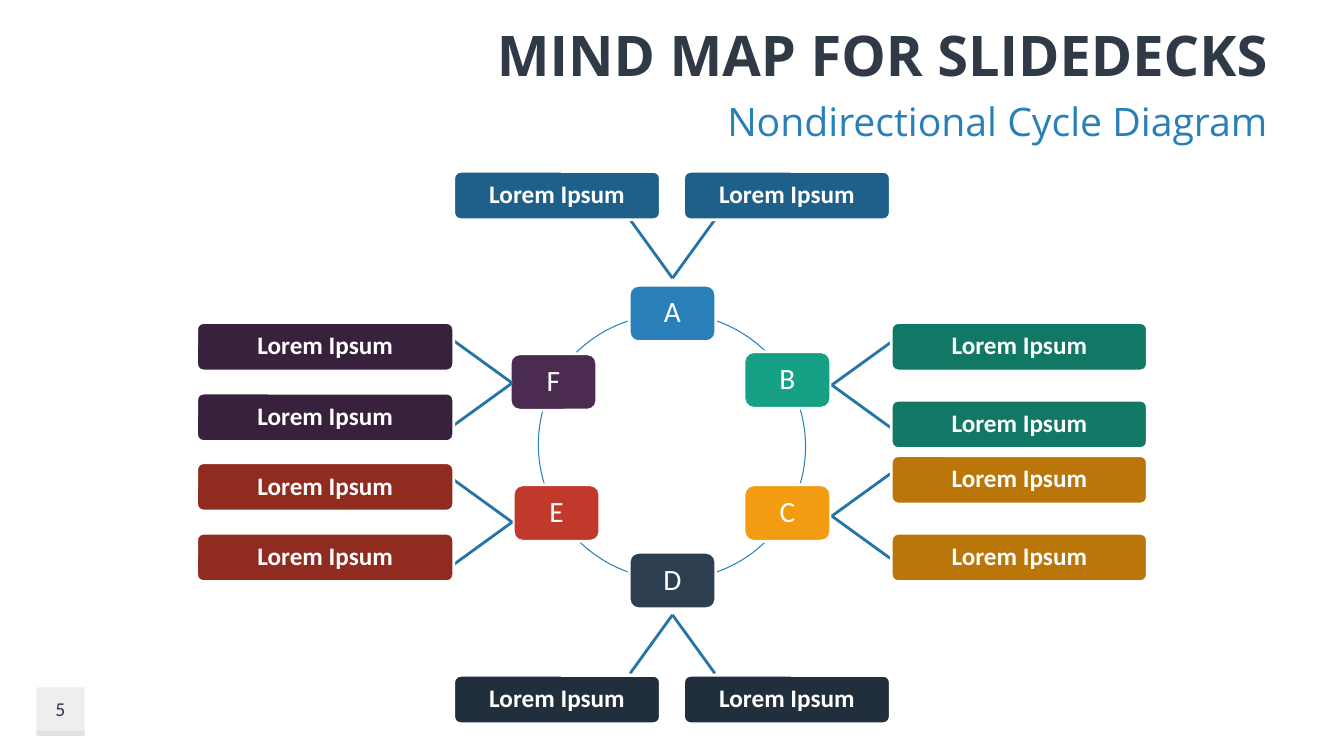
from lxml import etree
from pptx import Presentation
from pptx.dml.color import RGBColor
from pptx.enum.shapes import MSO_CONNECTOR, MSO_SHAPE
from pptx.enum.text import MSO_ANCHOR as Anchor, PP_ALIGN as Align
from pptx.oxml.ns import qn
from pptx.util import Inches, Pt

COLORS = {
    "white": "FFFFFF", "ink": "2F3A46", "gray": "BFBFBF",
    "cycle": "2980B9", "branch": "2574A8",
    "A": "2980B9", "A label": "1F608B",
    "B": "16A085", "B label": "107864",
    "C": "F39C12", "C label": "BA7609",
    "D": "2C3E50", "D label": "212E3C",
    "E": "C0392B", "E label": "902B20",
    "F": "4B2C50", "F label": "38213C",
}
COLORS = {name: RGBColor.from_string(value) for name, value in COLORS.items()}


def write(shape, text, size, color="white", font="Calibri", bold=False,
          align=Align.CENTER, anchor=Anchor.MIDDLE, spacing=None, inset=0.05):
    frame = shape.text_frame
    frame.word_wrap = True
    frame.vertical_anchor = anchor
    frame.margin_left = frame.margin_right = Inches(inset)
    frame.margin_top = frame.margin_bottom = Inches(0.05)
    paragraph = frame.paragraphs[0]
    paragraph.alignment = align
    paragraph.line_spacing = spacing
    run = paragraph.add_run()
    run.text = text
    run.font.size = Pt(size)
    run.font.name = font
    run.font.bold = bold
    run.font.color.rgb = COLORS[color]


def add_box(kind, left, top, width, height, fill, outline=None):
    box = slide.shapes.add_shape(
        kind, Inches(left), Inches(top), Inches(width), Inches(height))
    box.shadow.inherit = False
    box.fill.solid()
    box.fill.fore_color.rgb = COLORS[fill]
    if outline:
        box.line.color.rgb = COLORS[outline]
        box.line.width = Pt(2)
    else:
        box.line.fill.background()
    return box


presentation = Presentation()
presentation.slide_width = Inches(13.33)
presentation.slide_height = Inches(7.5)
slide = presentation.slides.add_slide(presentation.slide_layouts[6])

# Page number tile
for top, height in [(6.82, 0.48), (7.25, 0.05)]:
    tile = add_box(MSO_SHAPE.RECTANGLE, 0.36, top, 0.48, height, "gray")
    tint = tile._element.spPr.find(qn("a:solidFill"))[0]
    etree.SubElement(tint, qn("a:alpha"), val="25000")

# Headings and page number
title = slide.shapes.add_textbox(Inches(1.95), Inches(0.15), Inches(10.72), Inches(0.77))
write(title, "MIND MAP FOR SLIDEDECKS", 40, "ink", "Open Sans", bold=True,
      align=Align.RIGHT, inset=0.1)
subtitle = slide.shapes.add_textbox(Inches(1.95), Inches(0.92), Inches(10.72), Inches(0.57))
write(subtitle, "Nondirectional Cycle Diagram", 28, "cycle", "Open Sans",
      align=Align.RIGHT, anchor=Anchor.TOP, inset=0.1)
page_number = slide.shapes.add_textbox(Inches(0.36), Inches(6.82), Inches(0.48), Inches(0.43))
write(page_number, "5", 14, "ink", inset=0.1)

# Cycle arcs: left and top of the circle, start and end angle in degrees
CIRCLE = 2.64
ARCS = [
    (5.35, 3.11, 289.1, 314.4),
    (5.35, 3.11, 343.6, 16.8),
    (5.35, 3.11, 45.9, 71),
    (5.35, 3.11, 109.4, 134.4),
    (5.34, 3.09, 162.4, 194.5),
    (5.32, 3.12, 225, 251.8),
]
ANGLE_UNIT = 0.6  # one degree as an adjustment value
for left, top, start, end in ARCS:
    arc = slide.shapes.add_shape(
        MSO_SHAPE.ARC, Inches(left), Inches(top), Inches(CIRCLE), Inches(CIRCLE))
    arc.adjustments[0] = start * ANGLE_UNIT
    arc.adjustments[1] = end * ANGLE_UNIT
    arc.shadow.inherit = False
    arc.fill.background()
    arc.line.color.rgb = COLORS["cycle"]
    arc.line.width = Pt(0.75)

# Cycle nodes
NODES = {
    "A": (6.24, 2.83), "B": (7.38, 3.49), "C": (7.38, 4.81),
    "D": (6.24, 5.48), "E": (5.09, 4.81), "F": (5.06, 3.51),
}
for letter, (left, top) in NODES.items():
    node = add_box(MSO_SHAPE.ROUNDED_RECTANGLE, left, top, 0.86, 0.56, letter, "white")
    write(node, letter, 21, spacing=0.9)

# Branches: the tip at the node, then the offsets of the two ends
UP = [(-0.42, -0.58), (0.42, -0.58)]
DOWN = [(-0.42, 0.58), (0.42, 0.58)]
RIGHT = [(0.58, -0.42), (0.58, 0.42)]
LEFT = [(-0.58, -0.42), (-0.58, 0.42)]
BRANCHES = [
    (6.67, 2.76, UP), (8.25, 3.82, RIGHT), (8.25, 5.12, RIGHT),
    (6.67, 6.1, DOWN), (5.08, 5.18, LEFT), (5.08, 3.8, LEFT),
]
for x, y, offsets in BRANCHES:
    for dx, dy in offsets:
        branch = slide.shapes.add_connector(
            MSO_CONNECTOR.STRAIGHT, Inches(x), Inches(y), Inches(x + dx), Inches(y + dy))
        branch.line.color.rgb = COLORS["branch"]
        branch.line.width = Pt(2)
        etree.SubElement(branch._element.spPr, qn("a:effectLst"))

# Labels: width and the two corners for each node
LABELS = {
    "A": (2.05, [(4.5, 1.7), (6.78, 1.7)]),
    "B": (2.54, [(8.84, 3.2), (8.84, 3.97)]),
    "C": (2.54, [(8.84, 4.52), (8.84, 5.29)]),
    "D": (2.05, [(4.5, 6.7), (6.78, 6.7)]),
    "E": (2.55, [(1.95, 4.59), (1.95, 5.29)]),
    "F": (2.55, [(1.95, 3.2), (1.95, 3.9)]),
}
for letter, (width, corners) in LABELS.items():
    for left, top in corners:
        label = add_box(MSO_SHAPE.ROUNDED_RECTANGLE, left, top, width, 0.48,
                        f"{letter} label", "white")
        label.adjustments[0] = 0.14
        write(label, "Lorem Ipsum", 18, bold=True, spacing=0.9)

presentation.save("out.pptx")
